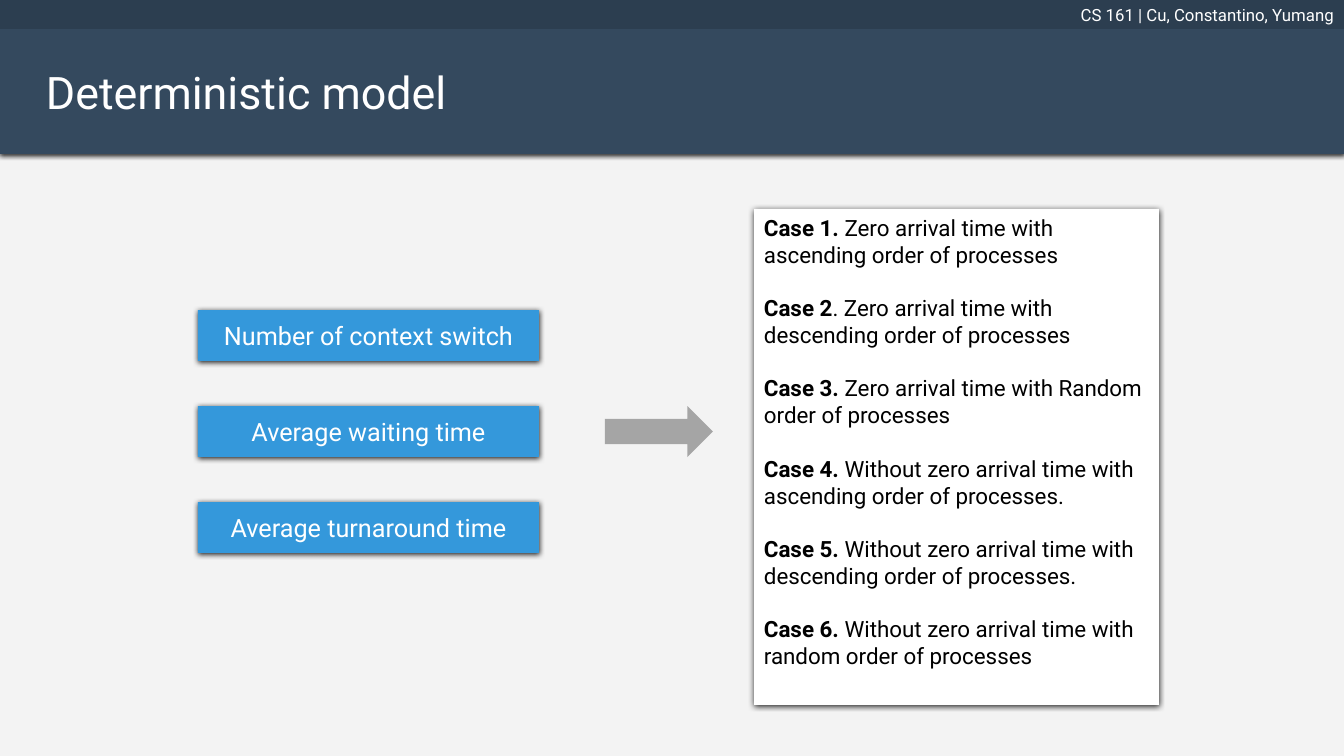
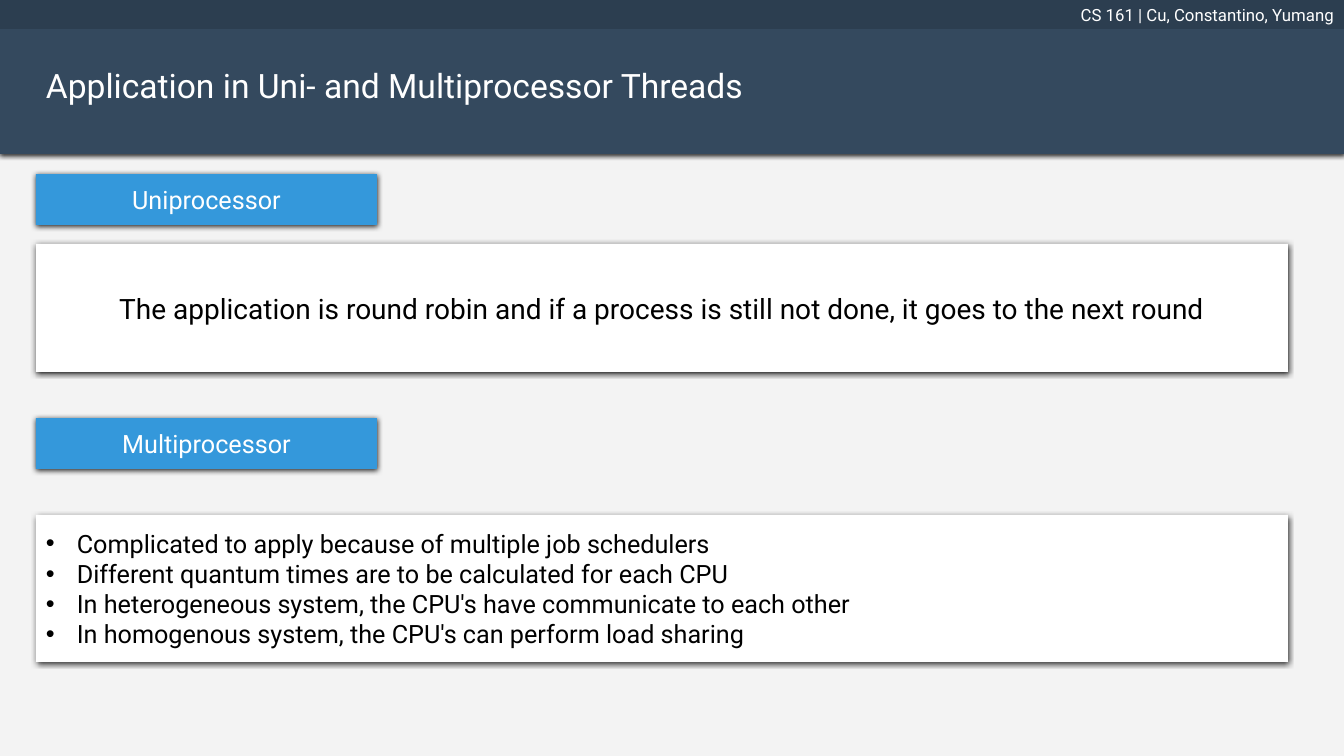
import pptx
import pptx.dml.color
import pptx.enum.shapes
import pptx.enum.text
import pptx.oxml
import pptx.oxml.ns
import pptx.util

SHAPE = pptx.enum.shapes.MSO_SHAPE
ALIGN = pptx.enum.text.PP_ALIGN
ANCHOR = pptx.enum.text.MSO_ANCHOR
WIDTH, HEIGHT = 1344, 756


def px(n):
    return pptx.util.Emu(round(n * 914400 / 100.8))


def rgb(value):
    return pptx.dml.color.RGBColor.from_string(value)


def element(xml):
    return pptx.oxml.parse_xml(xml.replace("<a:", "<a:", 1).replace(
        " ", " " + pptx.oxml.ns.nsdecls("a") + " ", 1))


class Deck:
    """Hold the shared style and the current slide, and draw each kind of element."""

    FONT = "Roboto"
    PAGE, HEADER, STRIP = "F3F3F3", "34495E", "2C3E50"
    BLUE, GREY, WHITE, BLACK, SHADOW = "3498DB", "A5A5A5", "FFFFFF", "000000", "262626"
    FOOTING = "CS 161 | Cu, Constantino, Yumang"
    MARGIN = 36
    LABEL_W, LABEL_H = 341, 51

    def __init__(self):
        self.prs = pptx.Presentation()
        self.prs.slide_width, self.prs.slide_height = px(WIDTH), px(HEIGHT)
        self.s = None

    def slide(self, title, size, width, height):
        self.s = self.prs.slides.add_slide(self.prs.slide_layouts[6])
        self.s.background.fill.solid()
        self.s.background.fill.fore_color.rgb = rgb(self.PAGE)
        self.shape(0, 0, WIDTH, 154, self.HEADER, shadow=True)
        strip = self.shape(0, 0, WIDTH, 29, self.STRIP)
        self.text(strip, [[(self.FOOTING, False)]], 12, self.WHITE, ALIGN.RIGHT)
        box = self.s.shapes.add_textbox(px(self.MARGIN), px(60), px(width), px(height))
        self.text(box, [[(title, False)]], size, self.WHITE, anchor=ANCHOR.TOP)

    def shape(self, x, y, w, h, fill, kind=SHAPE.RECTANGLE, shadow=False):
        sp = self.s.shapes.add_shape(kind, px(x), px(y), px(w), px(h))
        sp.fill.solid()
        sp.fill.fore_color.rgb = rgb(fill)
        sp.line.fill.background()
        sp.shadow.inherit = False
        if shadow:
            effects = sp._element.spPr.find(pptx.oxml.ns.qn("a:effectLst"))
            effects.append(element(
                '<a:outerShdw blurRad="50800" dist="12700" dir="5400000" algn="t" '
                f'rotWithShape="0"><a:srgbClr val="{self.SHADOW}"/></a:outerShdw>'))
        return sp

    def text(self, sp, paragraphs, size, color, align=ALIGN.LEFT,
             anchor=ANCHOR.MIDDLE, gap=0, bullets=False):
        tf = sp.text_frame
        tf.word_wrap = True
        tf.vertical_anchor = anchor
        for i, runs in enumerate(paragraphs):
            p = tf.add_paragraph() if i else tf.paragraphs[0]
            p.alignment = align
            if i and gap:
                p.space_before = pptx.util.Pt(gap)
            if bullets:
                pPr = p._p.get_or_add_pPr()
                pPr.set("marL", str(px(31)))
                pPr.set("indent", str(-px(31)))
                pPr.append(element('<a:buFont typeface="Arial"/>'))
                pPr.append(element('<a:buChar char="•"/>'))
            for words, bold in runs:
                r = p.add_run()
                r.text = words
                r.font.name = self.FONT
                r.font.size = pptx.util.Pt(size)
                r.font.bold = bold
                r.font.color.rgb = rgb(color)

    def label(self, x, y, words):
        sp = self.shape(x, y, self.LABEL_W, self.LABEL_H, self.BLUE, shadow=True)
        self.text(sp, [[(words, False)]], 18, self.WHITE, ALIGN.CENTER)

    def card(self, x, y, w, h, paragraphs, size, **style):
        sp = self.shape(x, y, w, h, self.WHITE, shadow=True)
        self.text(sp, paragraphs, size, self.BLACK, **style)

    def arrow(self, x, y, w, h):
        self.shape(x, y, w, h, self.GREY, SHAPE.RIGHT_ARROW)


def model_slide(deck):
    deck.slide("Deterministic model", 32, 502, 65)
    cases = [
        ("Case 1.", " Zero arrival time with ascending order of processes"),
        ("Case 2", ". Zero arrival time with descending order of processes"),
        ("Case 3. ", "Zero arrival time with Random order of processes"),
        ("Case 4. ", "Without zero arrival time with ascending order of processes."),
        ("Case 5. ", "Without zero arrival time with descending order of processes."),
        ("Case 6. ", "Without zero arrival time with random order of processes"),
    ]
    deck.card(754, 209, 405, 496, [[(name, True), (words, False)] for name, words in cases],
              16, anchor=ANCHOR.TOP, gap=19)
    measures = ["Number of context switch", "Average waiting time", "Average turnaround time"]
    for i, words in enumerate(measures):
        deck.label(198, 310 + 96 * i, words)
    deck.arrow(605, 406, 108, 51)


def threads_slide(deck):
    deck.slide("Application in Uni- and Multiprocessor Threads", 24, 885, 50)
    width = 1252
    deck.label(deck.MARGIN, 174, "Uniprocessor")
    rule = "The application is round robin and if a process is still not done, it goes to the next round"
    deck.card(deck.MARGIN, 244, width, 128, [[(rule, False)]], 20, align=ALIGN.CENTER)
    deck.label(deck.MARGIN, 418, "Multiprocessor")
    points = [
        "Complicated to apply because of multiple job schedulers",
        "Different quantum times are to be calculated for each CPU",
        "In heterogeneous system, the CPU's have communicate to each other",
        "In homogenous system, the CPU's can perform load sharing",
    ]
    deck.card(deck.MARGIN, 515, width, 147, [[(words, False)] for words in points],
              18, bullets=True)


def main():
    deck = Deck()
    model_slide(deck)
    threads_slide(deck)
    deck.prs.save("out.pptx")


if __name__ == "__main__":
    main()
